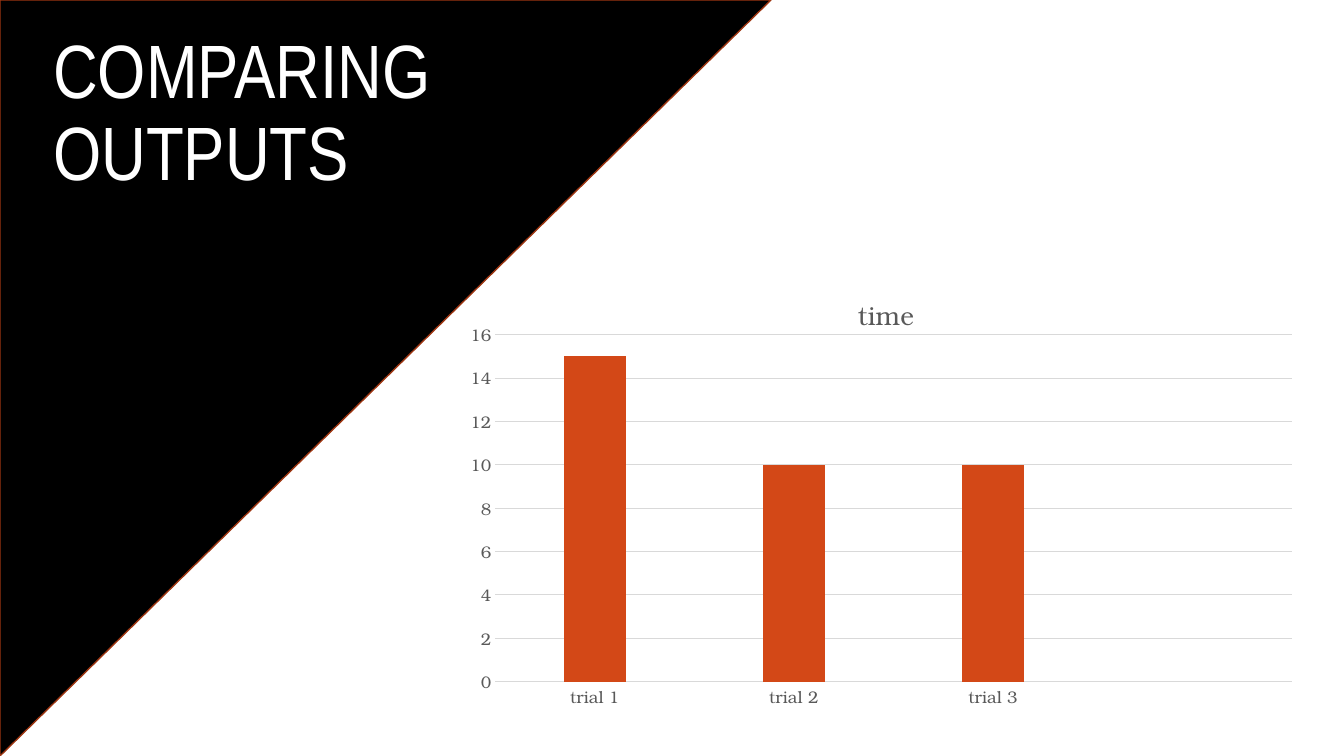
from dataclasses import dataclass

from lxml import etree
from pptx import Presentation
from pptx.chart.data import CategoryChartData
from pptx.dml.color import RGBColor
from pptx.enum.chart import XL_CHART_TYPE, XL_TICK_MARK
from pptx.enum.shapes import MSO_SHAPE
from pptx.enum.text import MSO_ANCHOR
from pptx.oxml.ns import qn
from pptx.util import Cm, Pt

COLUMNS = XL_CHART_TYPE.COLUMN_CLUSTERED
NO_TICK = XL_TICK_MARK.NONE
RIGHT_TRIANGLE = MSO_SHAPE.RIGHT_TRIANGLE
MIDDLE = MSO_ANCHOR.MIDDLE


@dataclass(frozen=True)
class Theme:
    panel: RGBColor = RGBColor(0x00, 0x00, 0x00)
    panel_edge: RGBColor = RGBColor(0x9C, 0x35, 0x11)
    heading: RGBColor = RGBColor(0xFF, 0xFF, 0xFF)
    column: RGBColor = RGBColor(0xD3, 0x48, 0x17)
    label: RGBColor = RGBColor(0x59, 0x59, 0x59)
    grid: RGBColor = RGBColor(0xD9, 0xD9, 0xD9)
    heading_font: str = "Arial Narrow"
    chart_font: str = "TeX Gyre Bonum"
    heading_size: float = 54
    chart_title_size: float = 18.6
    label_size: float = 12


THEME = Theme()


def format_font(font, name, size, color):
    font.name = name
    font.size = Pt(size)
    font.bold = False
    font.color.rgb = color


def write_text(frame, text, *, name, size, color, spacing=None):
    para = frame.paragraphs[0]
    para.line_spacing = spacing
    span = para.add_run()
    span.text = text
    format_font(span.font, name, size, color)


def format_line(line, color, width):
    line.color.rgb = color
    line.width = Pt(width)


def add_corner_panel(page, left, top, width, height):
    """Fill the upper left half of the box with a triangle turned a quarter."""
    shift = (width - height) // 2
    panel = page.shapes.add_shape(
        RIGHT_TRIANGLE, left + shift, top - shift, height, width)
    panel.rotation = 90
    panel.shadow.inherit = False
    panel.fill.solid()
    panel.fill.fore_color.rgb = THEME.panel
    format_line(panel.line, THEME.panel_edge, 1)


def add_heading(page, text, left, top, width, height):
    frame = page.shapes.add_textbox(left, top, width, height).text_frame
    frame.word_wrap = True
    frame.vertical_anchor = MIDDLE
    write_text(frame, text, name=THEME.heading_font, size=THEME.heading_size,
               color=THEME.heading, spacing=0.9)


def set_layout(parent, index, target=None, **percents):
    """Give a chart part a manual place, in percent of the chart."""
    for old in parent.findall(qn("c:layout")):
        parent.remove(old)
    settings = {"layoutTarget": target} if target else {}
    settings.update(xMode="edge", yMode="edge")
    settings.update({tag: value / 100 for tag, value in percents.items()})
    layout = etree.Element(qn("c:layout"))
    manual = etree.SubElement(layout, qn("c:manualLayout"))
    for tag, value in settings.items():
        etree.SubElement(manual, qn(f"c:{tag}")).set("val", str(value))
    parent.insert(index, layout)


def format_axis(axis):
    axis.major_tick_mark = NO_TICK
    axis.minor_tick_mark = NO_TICK
    format_font(axis.tick_labels.font, THEME.chart_font, THEME.label_size,
                THEME.label)


def add_time_chart(page, title, times, left, top, width, height):
    data = CategoryChartData()
    data.categories = list(times)
    data.add_series(title, times.values())
    chart = page.shapes.add_chart(
        COLUMNS, left, top, width, height, data).chart
    chart.has_legend = False
    chart.font.name = THEME.chart_font

    chart.has_title = True
    write_text(chart.chart_title.text_frame, title, name=THEME.chart_font,
               size=THEME.chart_title_size, color=THEME.label)
    chart.chart_title.include_in_layout = False
    set_layout(chart.chart_title.element, 1, x=46.25, y=3.1)
    set_layout(chart.element.find(f".//{qn('c:plotArea')}"), 0,
               target="inner", x=4.9, y=13.4, w=92, h=77.7)

    plot = chart.plots[0]
    plot.vary_by_categories = False
    plot.gap_width = 219
    plot.overlap = -27
    fill = plot.series[0].format.fill
    fill.solid()
    fill.fore_color.rgb = THEME.column

    format_axis(chart.category_axis)
    format_line(chart.category_axis.format.line, THEME.grid, 0.75)
    values = chart.value_axis
    format_axis(values)
    values.minimum_scale, values.maximum_scale, values.major_unit = 0, 16, 2
    values.format.line.fill.background()
    format_line(values.major_gridlines.format.line, THEME.grid, 0.75)


def main():
    deck = Presentation()
    deck.slide_width = Cm(33.87)
    deck.slide_height = Cm(19.05)
    page = deck.slides.add_slide(deck.slide_layouts[6])
    add_corner_panel(page, Cm(0), Cm(0), Cm(19.43), deck.slide_height)
    add_heading(page, "COMPARING OUTPUTS",
                Cm(1.09), Cm(1.66), Cm(14.25), Cm(2.49))
    times = {"trial 1": 15, "trial 2": 10, "trial 3": 10, "": None}
    add_time_chart(page, "time", times,
                   Cm(11.41), Cm(6.93), Cm(21.82), Cm(11.25))
    deck.save("out.pptx")


if __name__ == "__main__":
    main()
